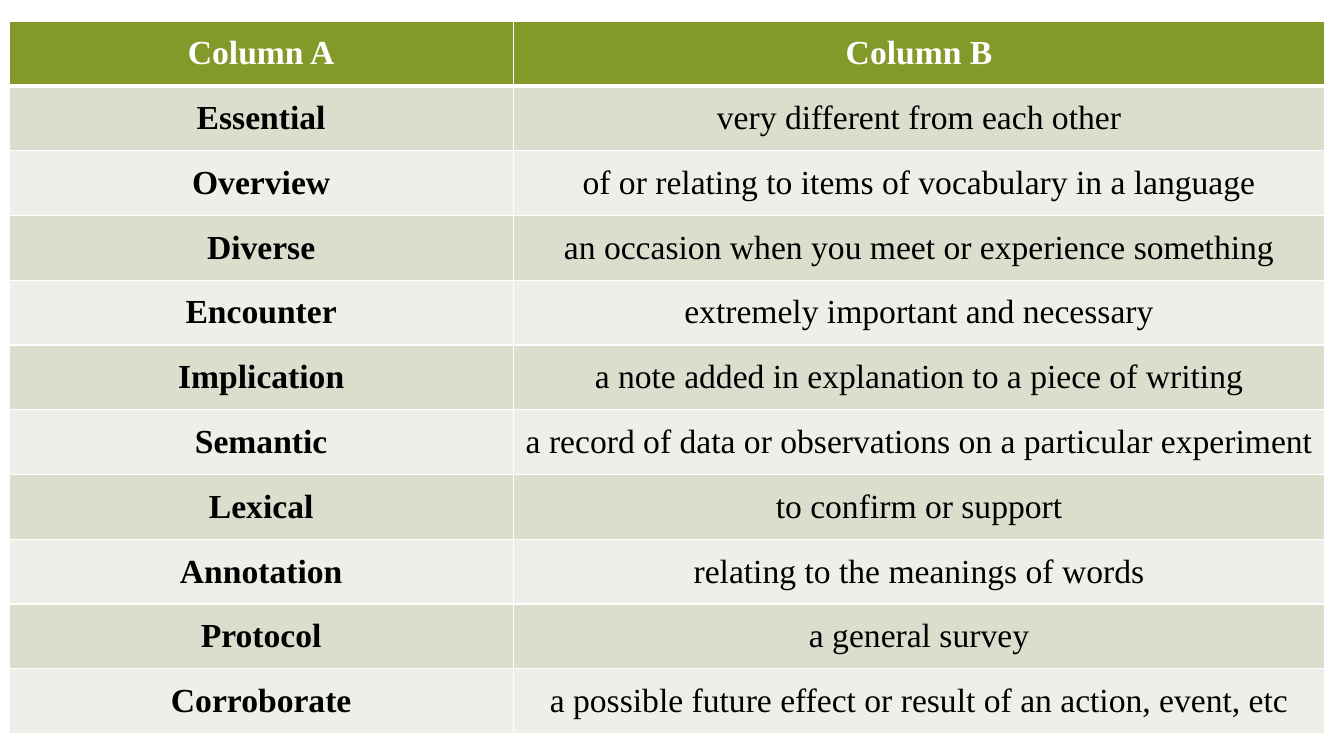
from typing import NamedTuple

from lxml.etree import SubElement
from pptx import Presentation
from pptx.dml.color import RGBColor
from pptx.enum.text import MSO_ANCHOR, PP_ALIGN
from pptx.oxml.ns import qn
from pptx.util import Inches, Pt

WHITE = RGBColor(0xFF, 0xFF, 0xFF)
BLACK = RGBColor(0x00, 0x00, 0x00)
OLIVE = RGBColor(0x83, 0x99, 0x2A)
BAND_DARK = RGBColor(0xD9, 0xDE, 0xCD)
BAND_LIGHT = RGBColor(0xED, 0xEF, 0xE8)

LEFT, TOP, HEIGHT = Inches(0.09), Inches(0.21), Inches(7.07)
COLUMN_WIDTHS = Inches(5), Inches(8.05)


class Row(NamedTuple):
    word: str
    meaning: str


ROWS = [
    Row("Column A", "Column B"),
    Row("Essential", "very different from each other"),
    Row("Overview", "of or relating to items of vocabulary in a language"),
    Row("Diverse", "an occasion when you meet or experience something"),
    Row("Encounter", "extremely important and necessary"),
    Row("Implication", "a note added in explanation to a piece of writing"),
    Row("Semantic", "a record of data or observations on a particular experiment"),
    Row("Lexical", "to confirm or support"),
    Row("Annotation", "relating to the meanings of words"),
    Row("Protocol", "a general survey"),
    Row("Corroborate", "a possible future effect or result of an action, event, etc"),
]


def set_borders(cell, widths: dict[str, float]) -> None:
    """Draw white borders; widths are points keyed by side (L, R, T, B)."""
    tc_pr = cell._tc.get_or_add_tcPr()
    for i, (side, width) in enumerate(widths.items()):
        ln = tc_pr.makeelement(qn(f"a:ln{side}"), {"w": str(Pt(width))})
        fill = SubElement(ln, qn("a:solidFill"))
        SubElement(fill, qn("a:srgbClr"), val=str(WHITE))
        tc_pr.insert(i, ln)


def fill_cell(cell, text: str, row: int, col: int) -> None:
    header = row == 0
    cell.vertical_anchor = MSO_ANCHOR.MIDDLE
    cell.fill.solid()
    cell.fill.fore_color.rgb = OLIVE if header else (BAND_LIGHT, BAND_DARK)[row % 2]
    set_borders(cell, {"L": 1, "R": 1, "T": 3 if row == 1 else 1, "B": 3 if header else 1})

    p = cell.text_frame.paragraphs[0]
    p.alignment = PP_ALIGN.CENTER
    r = p.add_run()
    r.text = text
    font_format = {"name": "Times New Roman", "size": Pt(24), "bold": header or col == 0}
    for name, value in font_format.items():
        setattr(r.font, name, value)
    r.font.color.rgb = WHITE if header else BLACK


def add_vocabulary_table(s) -> None:
    table = s.shapes.add_table(
        len(ROWS), len(COLUMN_WIDTHS), LEFT, TOP, sum(COLUMN_WIDTHS), HEIGHT
    ).table
    for column, width in zip(table.columns, COLUMN_WIDTHS):
        column.width = width
    for i, row in enumerate(ROWS):
        for j, text in enumerate(row):
            fill_cell(table.cell(i, j), text, i, j)


def main() -> None:
    prs = Presentation()
    prs.slide_width, prs.slide_height = Inches(13.33), Inches(7.5)
    s = prs.slides.add_slide(prs.slide_layouts[6])
    add_vocabulary_table(s)
    prs.save("out.pptx")


if __name__ == "__main__":
    main()
